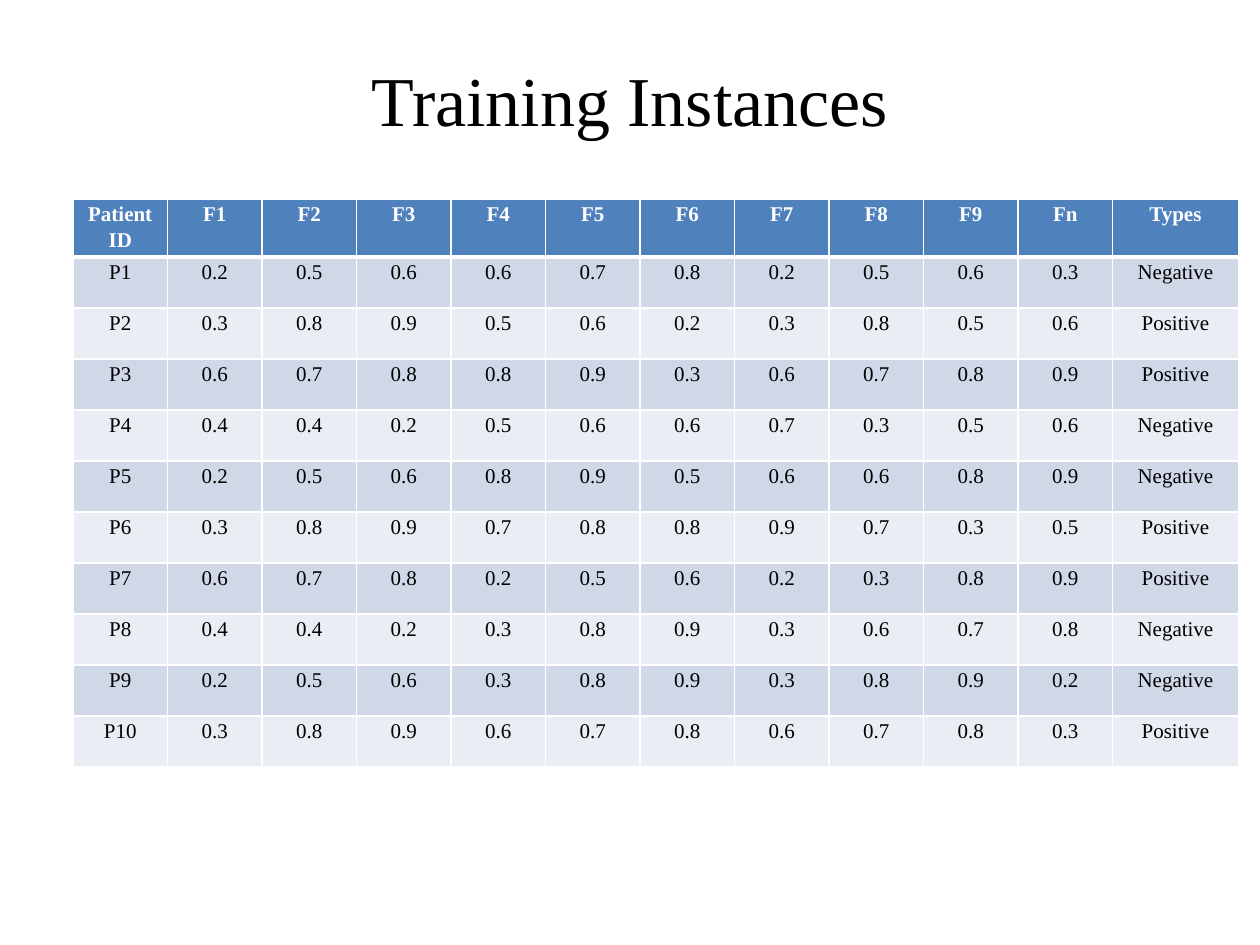
from dataclasses import dataclass

from lxml.etree import SubElement as Sub
from pptx import Presentation
from pptx.dml.color import RGBColor as RGB
from pptx.enum.text import MSO_ANCHOR as Anchor, PP_ALIGN as Align
from pptx.oxml.ns import qn
from pptx.util import Emu, Pt

PX = 914400 // 126


@dataclass(frozen=True)
class Theme:
    font: str = "Times New Roman"
    title: int = 40
    body: int = 12
    ink: str = "000000"
    white: str = "FFFFFF"
    head: str = "4F81BD"
    bands: tuple = ("D0D8E8", "E9EDF4")


T = Theme()

HEAD = ["Patient ID", *(f"F{n}" for n in range(1, 10)), "Fn", "Types"]
ROWS = """
0.2 0.5 0.6 0.6 0.7 0.8 0.2 0.5 0.6 0.3 Negative
0.3 0.8 0.9 0.5 0.6 0.2 0.3 0.8 0.5 0.6 Positive
0.6 0.7 0.8 0.8 0.9 0.3 0.6 0.7 0.8 0.9 Positive
0.4 0.4 0.2 0.5 0.6 0.6 0.7 0.3 0.5 0.6 Negative
0.2 0.5 0.6 0.8 0.9 0.5 0.6 0.6 0.8 0.9 Negative
0.3 0.8 0.9 0.7 0.8 0.8 0.9 0.7 0.3 0.5 Positive
0.6 0.7 0.8 0.2 0.5 0.6 0.2 0.3 0.8 0.9 Positive
0.4 0.4 0.2 0.3 0.8 0.9 0.3 0.6 0.7 0.8 Negative
0.2 0.5 0.6 0.3 0.8 0.9 0.3 0.8 0.9 0.2 Negative
0.3 0.8 0.9 0.6 0.7 0.8 0.6 0.7 0.8 0.3 Positive
"""
DATA = [HEAD] + [[f"P{n}", *line.split()]
                 for n, line in enumerate(ROWS.strip().splitlines(), 1)]


def px(n):
    return Emu(round(n * PX))


def put(obj, **vals):
    for key, val in vals.items():
        setattr(obj, key, val)


def write(frame, text, size, color, bold=False, space=1.0):
    para = frame.paragraphs[0]
    put(para, alignment=Align.CENTER, line_spacing=space)
    run = para.add_run()
    run.text = text
    put(run.font, name=T.font, size=Pt(size), bold=bold)
    run.font.color.rgb = RGB.from_string(color)


def edge(cell, widths):
    props = cell._tc.get_or_add_tcPr()
    for side, wide in widths.items():
        line = Sub(props, qn(f"a:ln{side}"), w=str(Pt(wide)))
        fill = Sub(line, qn("a:solidFill"))
        Sub(fill, qn("a:srgbClr"), val=T.white)


# Slide title
def title(slide, box, text):
    frame = slide.shapes.add_textbox(*map(px, box)).text_frame
    put(frame, word_wrap=True, vertical_anchor=Anchor.MIDDLE)
    write(frame, text, T.title, T.ink)


# Table of instances: equal columns, with a wider last one
def grid(slide, box, data, last):
    wide, high = box[2:]
    count = len(data[0])
    table = slide.shapes.add_table(len(data), count, *map(px, box)).table
    for n, col in enumerate(table.columns):
        col.width = px(last if n == count - 1 else (wide - last) / (count - 1))
    for r, vals in enumerate(data):
        table.rows[r].height = px(high / len(data))
        top = r == 0
        for c, text in enumerate(vals):
            cell = table.cell(r, c)
            put(cell, margin_left=px(9), margin_right=px(9),
                margin_top=0, margin_bottom=0, vertical_anchor=Anchor.TOP)
            edge(cell, {"L": 1, "R": 1, "T": 3 if r == 1 else 1,
                        "B": 3 if top else 1})
            cell.fill.solid()
            cell.fill.fore_color.rgb = RGB.from_string(
                T.head if top else T.bands[(r - 1) % 2])
            write(cell.text_frame, text, T.body,
                  T.white if top else T.ink, top, 1.15)


deck = Presentation()
put(deck, slide_width=px(1260), slide_height=px(945))
page = deck.slides.add_slide(deck.slide_layouts[6])
title(page, (63, 38, 1134, 120), "Training Instances")
grid(page, (73, 199, 1166, 561), DATA, 126)
deck.save("out.pptx")
